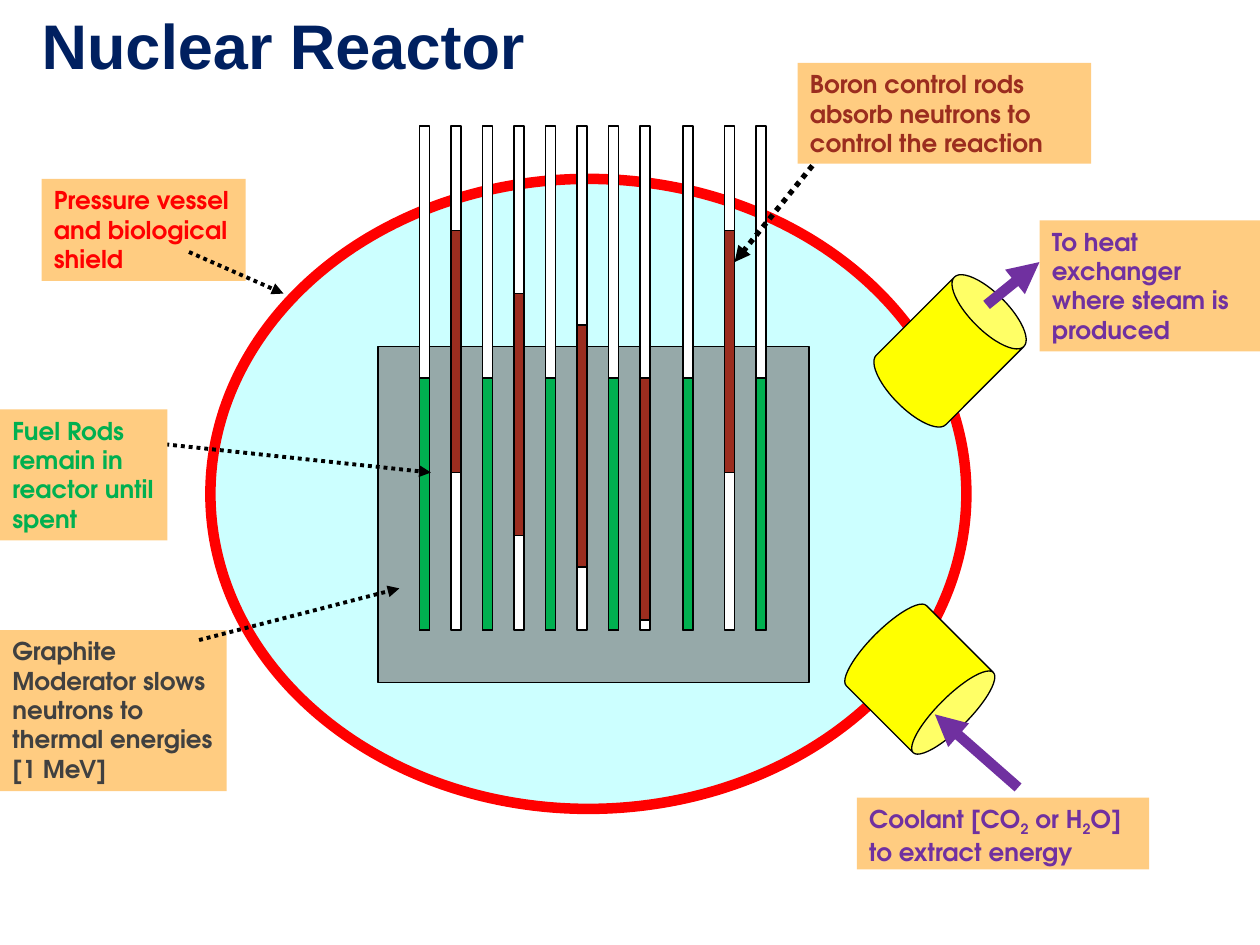
"""Build the nuclear reactor diagram slide."""
from lxml.etree import SubElement
from pptx import Presentation
from pptx.dml.color import RGBColor
from pptx.enum.dml import MSO_LINE
from pptx.enum.shapes import MSO_CONNECTOR, MSO_SHAPE
from pptx.enum.text import MSO_ANCHOR, PP_ALIGN
from pptx.oxml.ns import qn
from pptx.util import Inches, Pt

NAVY = RGBColor(0x00, 0x20, 0x60)
BLACK = RGBColor(0x00, 0x00, 0x00)
WHITE = RGBColor(0xFF, 0xFF, 0xFF)
RED = RGBColor(0xFF, 0x00, 0x00)
YELLOW = RGBColor(0xFF, 0xFF, 0x00)
GREEN = RGBColor(0x00, 0xB0, 0x50)
BROWN = RGBColor(0x9B, 0x2D, 0x1F)
PURPLE = RGBColor(0x70, 0x30, 0xA0)
CHARCOAL = RGBColor(0x40, 0x40, 0x40)
GRAPHITE = RGBColor(0x96, 0xA9, 0xA9)
PALE_CYAN = RGBColor(0xCC, 0xFF, 0xFF)
PEACH = RGBColor(0xFF, 0xCC, 0x81)

ROD_WIDTH = 0.08
TUBE_TOP = 1
TUBE_HEIGHT = 4
FUEL_TOP = 3
FUEL_HEIGHT = 2
CONTROL_HEIGHT = 1.92

presentation = Presentation()
presentation.slide_width = Inches(10)
presentation.slide_height = Inches(7.5)
slide = presentation.slides.add_slide(presentation.slide_layouts[5])


def add_part(kind, box, fill, line=BLACK, width=0.75):
    shape = slide.shapes.add_shape(kind, *[Inches(length) for length in box])
    shape.shadow.inherit = False
    shape.fill.solid()
    shape.fill.fore_color.rgb = fill
    if line is None:
        shape.line.fill.background()
    else:
        shape.line.color.rgb = line
        shape.line.width = Pt(width)
    return shape


def add_label(box, color, pieces):
    shape = add_part(MSO_SHAPE.RECTANGLE, box, PEACH, line=None)
    frame = shape.text_frame
    frame.word_wrap = True
    frame.vertical_anchor = MSO_ANCHOR.TOP
    paragraph = frame.paragraphs[0]
    paragraph.alignment = PP_ALIGN.LEFT
    font_format = {"name": "TeX Gyre Adventor", "size": Pt(14), "bold": True}
    for piece in pieces:
        run = paragraph.add_run()
        run.text = piece
        for attribute, value in font_format.items():
            setattr(run.font, attribute, value)
        run.font.color.rgb = color
        if piece.isdigit():
            run._r.get_or_add_rPr().set("baseline", "-25000")


add_part(MSO_SHAPE.OVAL, (1.67, 1.42, 6, 5), PALE_CYAN, RED, 6)
add_part(MSO_SHAPE.RECTANGLE, (3, 2.75, 3.42, 2.67), GRAPHITE)

pipes = [
    ((7.15, 2.2, 0.78, 1.17), 45, 0.376),
    ((6.85, 4.89, 0.9, 1), 135, 0.277),
]
for box, rotation, lid in pipes:
    pipe = add_part(MSO_SHAPE.CAN, box, YELLOW)
    pipe.rotation = rotation
    pipe.adjustments[0] = lid

fuel_lefts = [3.33, 3.83, 4.33, 4.83, 5.42, 6]
control_tops = {3.58: 1.83, 4.08: 2.33, 4.58: 2.58, 5.08: 3, 5.75: 1.83}
rods = [(left, FUEL_TOP, FUEL_HEIGHT, GREEN) for left in fuel_lefts]
rods += [(left, top, CONTROL_HEIGHT, BROWN) for left, top in control_tops.items()]
for left, top, height, color in rods:
    add_part(MSO_SHAPE.RECTANGLE, (left, TUBE_TOP, ROD_WIDTH, TUBE_HEIGHT), WHITE)
    add_part(MSO_SHAPE.RECTANGLE, (left, top, ROD_WIDTH, height), color)

title = slide.shapes.title
title_position = {"left": 0.23, "top": 0, "width": 4.69, "height": 0.71}
for attribute, value in title_position.items():
    setattr(title, attribute, Inches(value))
title.text_frame.text = "Nuclear Reactor"
title.text_frame.vertical_anchor = MSO_ANCHOR.TOP
title_paragraph = title.text_frame.paragraphs[0]
title_paragraph.alignment = PP_ALIGN.LEFT
title_format = {"name": "Arial", "size": Pt(36), "bold": True}
for attribute, value in title_format.items():
    setattr(title_paragraph.font, attribute, value)
title_paragraph.font.color.rgb = NAVY

labels_under_arrows = [
    ((0.33, 1.42, 1.62, 0.81), RED, ["Pressure vessel and biological shield"]),
    ((0, 5, 1.8, 1.28), CHARCOAL,
     ["Graphite Moderator slows neutrons to thermal energies [1 MeV]"]),
]
for label in labels_under_arrows:
    add_label(*label)

arrows = [
    ((1.5, 2), (2.25, 2.33), BLACK, 2.25, MSO_LINE.ROUND_DOT),
    ((1.58, 5.08), (3.17, 4.67), BLACK, 2.25, MSO_LINE.ROUND_DOT),
    ((1.25, 3.52), (3.42, 3.75), BLACK, 2.25, MSO_LINE.ROUND_DOT),
    ((6.5, 1.25), (5.83, 2.08), BLACK, 3, MSO_LINE.ROUND_DOT),
    ((8.08, 6.25), (7.42, 5.67), PURPLE, 6, MSO_LINE.SOLID),
    ((7.83, 2.42), (8.25, 2.08), PURPLE, 6, MSO_LINE.SOLID),
]
for start, end, color, width, dash in arrows:
    points = [Inches(length) for length in start + end]
    arrow = slide.shapes.add_connector(MSO_CONNECTOR.STRAIGHT, *points)
    arrow.line.color.rgb = color
    arrow.line.width = Pt(width)
    arrow.line.dash_style = dash
    SubElement(arrow.line._get_or_add_ln(), qn("a:tailEnd"), type="triangle")
    SubElement(arrow._element.spPr, qn("a:effectLst"))

labels_over_arrows = [
    ((0, 3.25, 1.33, 1.04), GREEN, ["Fuel Rods remain in reactor until spent"]),
    ((6.8, 6.33, 2.32, 0.57), PURPLE,
     ["Coolant [CO", "2", " or H", "2", "O] to extract energy"]),
    ((8.25, 1.75, 1.75, 1.04), PURPLE,
     ["To heat exchanger where steam is produced"]),
    ((6.33, 0.5, 2.33, 0.8), BROWN,
     ["Boron control rods absorb neutrons to control the reaction"]),
]
for label in labels_over_arrows:
    add_label(*label)

presentation.save("out.pptx")
